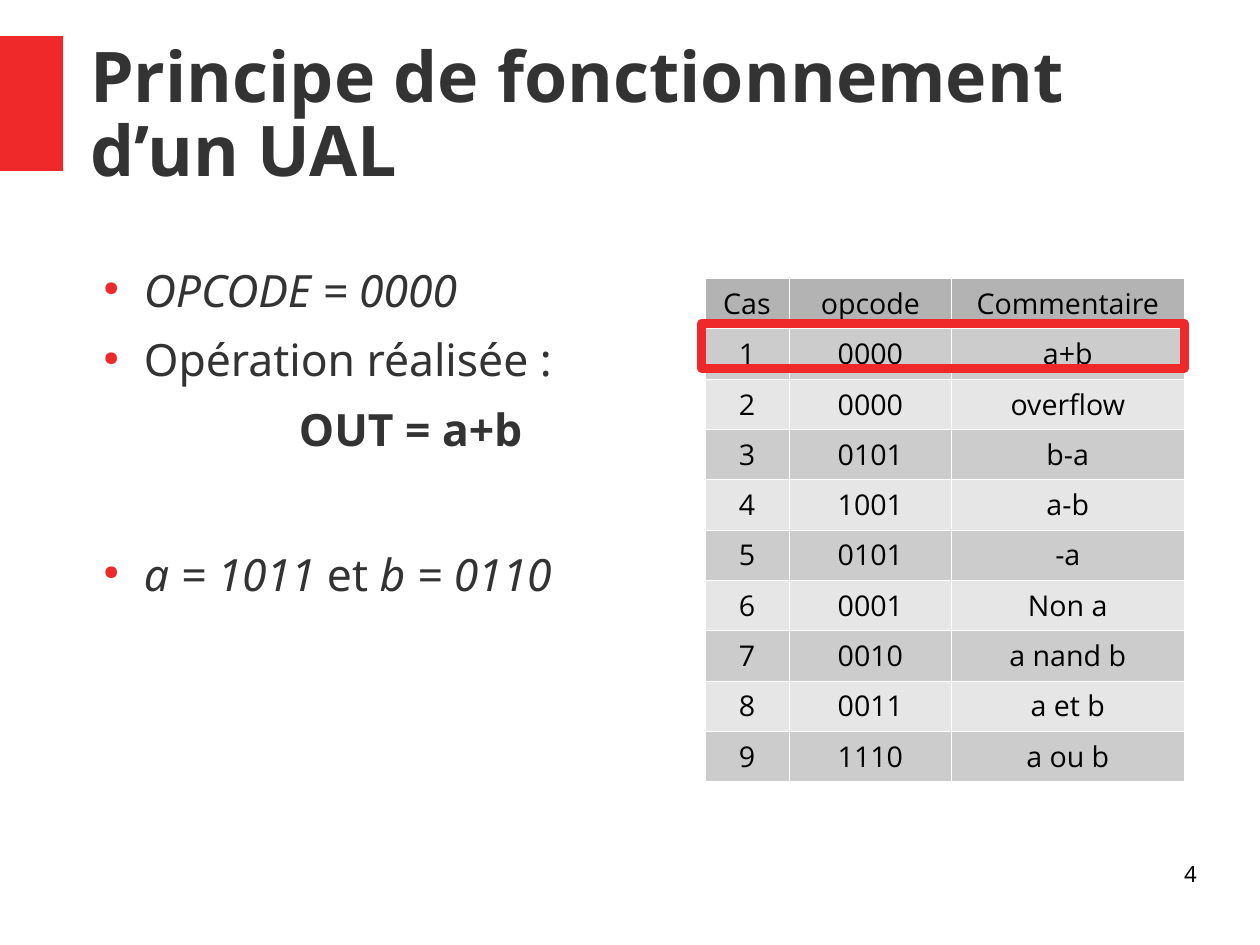
from dataclasses import dataclass

from lxml.etree import SubElement
from pptx import Presentation
from pptx.dml.color import RGBColor as Color
from pptx.enum.shapes import MSO_SHAPE as Shape
from pptx.enum.text import MSO_ANCHOR as Anchor, MSO_AUTO_SIZE as AutoSize, PP_ALIGN as Align
from pptx.oxml.ns import qn
from pptx.slide import Slide
from pptx.table import _Cell as Cell
from pptx.text.text import Font, TextFrame, _Paragraph as Paragraph
from pptx.util import Pt


@dataclass(frozen=True)
class Theme:
    red: str = "EF2929"
    ink: str = "333333"
    black: str = "000000"
    white: str = "FFFFFF"
    header: str = "B3B3B3"
    bands: tuple[str, str] = ("CCCCCC", "E6E6E6")
    text_face: str = "Noto Sans"
    table_face: str = "Open Sans"
    title_size: float = 44
    body_size: float = 28
    table_size: float = 18
    number_size: float = 14
    line_spacing: float = 0.88


@dataclass(frozen=True)
class Box:
    left: float
    top: float
    width: float
    height: float

    def lengths(self) -> tuple[Pt, Pt, Pt, Pt]:
        return Pt(self.left), Pt(self.top), Pt(self.width), Pt(self.height)


@dataclass(frozen=True)
class Span:
    text: str
    bold: bool = False
    italic: bool = False


@dataclass(frozen=True)
class Line:
    spans: tuple[Span, ...]
    bullet: bool = True
    space_before: float = 0


THEME = Theme()
LINES = (
    Line((Span("OPCODE = 0000", italic=True),)),
    Line((Span("Opération réalisée\u00a0:"),)),
    Line((Span("OUT = a+b", bold=True),), bullet=False),
    Line((Span("a = 1011", italic=True), Span(" et "), Span("b = 0110", italic=True)),
         space_before=47.7),
)
HEADINGS = ("Cas", "opcode", "Commentaire")
OPERATIONS = (
    ("0000", "a+b"), ("0000", "overflow"), ("0101", "b-a"),
    ("1001", "a-b"), ("0101", "-a"), ("0001", "Non a"),
    ("0010", "a nand b"), ("0011", "a et b"), ("1110", "a ou b"),
)
COLUMN_WIDTHS = (53.3, 102.2, 146.5)
ROW_HEIGHT = 31.7


def set_font(font: Font, face: str, size: float, color: str) -> None:
    font.name, font.size = face, Pt(size)
    font.color.rgb = Color.from_string(color)


def clear_margins(frame: TextFrame) -> None:
    frame.margin_left = frame.margin_right = frame.margin_top = frame.margin_bottom = 0
    frame.word_wrap = True


def add_text_frame(page: Slide, box: Box) -> TextFrame:
    frame = page.shapes.add_textbox(*box.lengths()).text_frame
    clear_margins(frame)
    return frame


def add_rectangle(page: Slide, box: Box, fill: str = "", line: str = "",
                  line_width: float = 0) -> None:
    shape = page.shapes.add_shape(Shape.RECTANGLE, *box.lengths())
    shape.shadow.inherit = False
    if fill:
        shape.fill.solid()
        shape.fill.fore_color.rgb = Color.from_string(fill)
    else:
        shape.fill.background()
    if line:
        shape.line.color.rgb = Color.from_string(line)
        shape.line.width = Pt(line_width)
        SubElement(shape.line._get_or_add_ln(), qn("a:round"))
    else:
        shape.line.fill.background()


def write_title(page: Slide, text: str, box: Box) -> None:
    title = page.shapes.title
    title.left, title.top, title.width, title.height = box.lengths()
    frame = title.text_frame
    frame.text = text
    clear_margins(frame)
    frame.auto_size = AutoSize.NONE
    frame.vertical_anchor = Anchor.MIDDLE
    para = frame.paragraphs[0]
    para.alignment = Align.LEFT
    para.line_spacing = THEME.line_spacing
    para.font.bold = True
    set_font(para.font, THEME.text_face, THEME.title_size, THEME.ink)


def indent(para: Paragraph, bullet: bool) -> None:
    """Give a paragraph its hanging red bullet, or a plain left margin."""
    properties = para._p.get_or_add_pPr()
    properties.set("marL", str(Pt(34 if bullet else 41)))
    properties.set("indent", str(Pt(-25.5 if bullet else 0)))
    if bullet:
        color = SubElement(properties, qn("a:buClr"))
        SubElement(color, qn("a:srgbClr"), val=THEME.red)
        SubElement(properties, qn("a:buSzPct"), val="45000")
        SubElement(properties, qn("a:buChar"), char="●")


def write_lines(page: Slide, lines: tuple[Line, ...], box: Box) -> None:
    frame = add_text_frame(page, box)
    for index, line in enumerate(lines):
        para = frame.add_paragraph() if index else frame.paragraphs[0]
        para.alignment = Align.LEFT if line.bullet else Align.CENTER
        para.line_spacing = THEME.line_spacing
        para.space_before, para.space_after = Pt(line.space_before), Pt(14.1)
        indent(para, line.bullet)
        set_font(para.font, THEME.text_face, THEME.body_size, THEME.ink)
        for span in line.spans:
            run = para.add_run()
            run.text = span.text
            run.font.bold, run.font.italic = span.bold, span.italic


def format_cell(cell: Cell, text: str, fill: str) -> None:
    cell.text = text
    para = cell.text_frame.paragraphs[0]
    para.alignment = Align.CENTER
    para.font.bold = False
    set_font(para.font, THEME.table_face, THEME.table_size, THEME.black)
    properties = cell._tc.get_or_add_tcPr()
    for side in ("a:lnL", "a:lnR", "a:lnT", "a:lnB"):
        border = SubElement(properties, qn(side), w=str(Pt(0.06)))
        paint = SubElement(border, qn("a:solidFill"))
        SubElement(paint, qn("a:srgbClr"), val=THEME.white)
    cell.fill.solid()
    cell.fill.fore_color.rgb = Color.from_string(fill)


def add_operations_table(page: Slide, left: float, top: float) -> None:
    rows = [HEADINGS, *((str(case), *operation)
                        for case, operation in enumerate(OPERATIONS, 1))]
    box = Box(left, top, sum(COLUMN_WIDTHS), ROW_HEIGHT * len(rows))
    table = page.shapes.add_table(len(rows), len(HEADINGS), *box.lengths()).table
    table.first_row = table.horz_banding = False
    for column, width in zip(table.columns, COLUMN_WIDTHS):
        column.width = Pt(width)
    for row_index, texts in enumerate(rows):
        table.rows[row_index].height = Pt(ROW_HEIGHT)
        fill = THEME.bands[(row_index - 1) % 2] if row_index else THEME.header
        for column_index, text in enumerate(texts):
            format_cell(table.cell(row_index, column_index), text, fill)


def write_page_number(page: Slide, number: str, box: Box) -> None:
    para = add_text_frame(page, box).paragraphs[0]
    para.text = number
    para.alignment = Align.RIGHT
    set_font(para.font, THEME.text_face, THEME.number_size, THEME.black)


def main() -> None:
    deck = Presentation()
    deck.slide_width, deck.slide_height = Pt(793.6), Pt(595.3)
    page = deck.slides.add_slide(deck.slide_layouts.get_by_name("Title Only"))
    add_rectangle(page, Box(0, 22.7, 39.7, 85), fill=THEME.red)
    write_title(page, "Principe de fonctionnement d’un UAL", Box(56.7, 13.7, 697, 120.2))
    write_lines(page, LINES, Box(56.7, 170, 362.9, 345.6))
    add_operations_table(page, 443.8, 175.3)
    add_rectangle(page, Box(442, 203.8, 303.8, 28.1), line=THEME.red, line_width=5.67)
    write_page_number(page, "4", Box(568.8, 542.2, 185, 41))
    deck.save("out.pptx")


if __name__ == "__main__":
    main()
